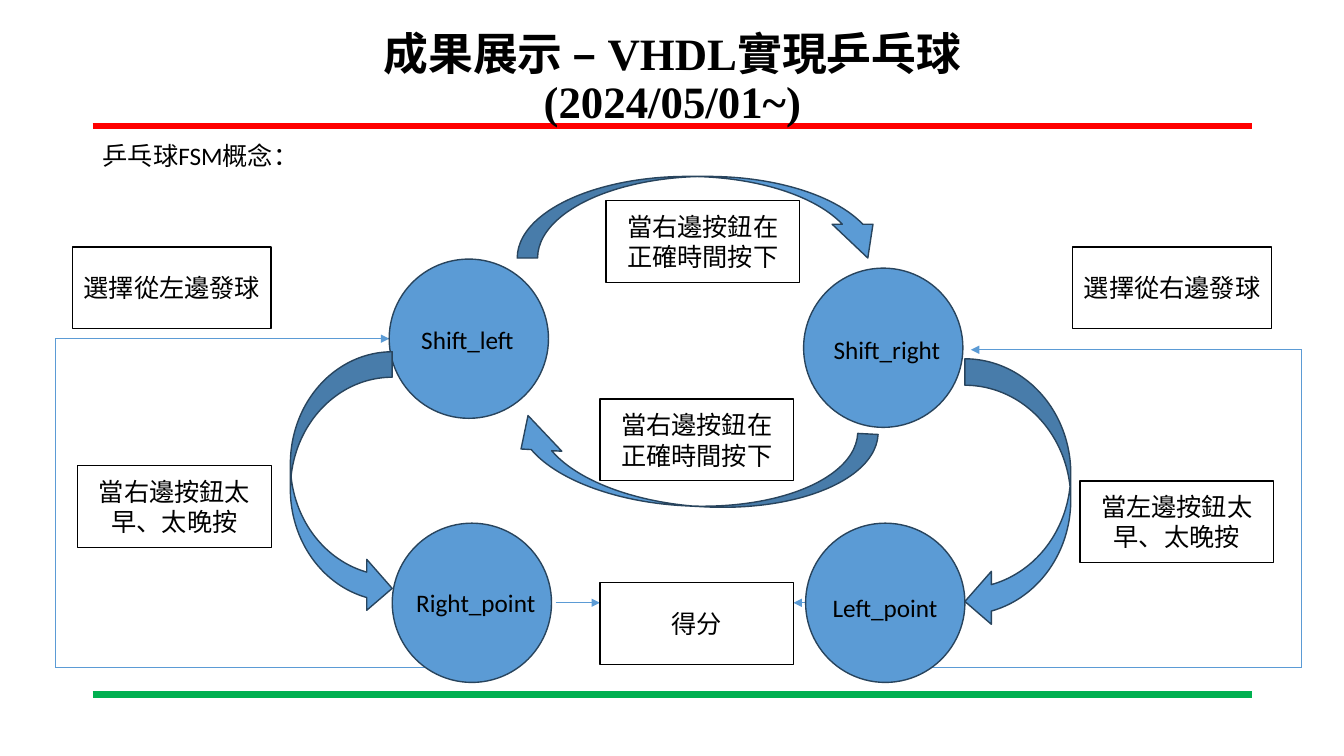
from collections import namedtuple

from lxml.etree import SubElement
from pptx import Presentation
from pptx.dml.color import RGBColor
from pptx.enum.shapes import MSO_CONNECTOR, MSO_SHAPE
from pptx.enum.text import MSO_ANCHOR, PP_ALIGN
from pptx.oxml.ns import qn
from pptx.util import Inches, Pt

COLORS = {
    "text": "000000",
    "paper": "FFFFFF",
    "state": "5B9BD5",
    "state_edge": "28445D",
    "top_rule": "FF0000",
    "bottom_rule": "00B050",
}
Box = namedtuple("Box", "left top width height")
STATE_SIZE = 1.58
NOTE_HEIGHT = 0.81


def color(name):
    """Return the named colour."""
    return RGBColor.from_string(COLORS[name])


def inset(region, left, top, width, height):
    """Return a box placed relative to the corner of a region."""
    return Box(region.left + left, region.top + top, width, height)


def add_span(para, text, size=18, font="Calibri", bold=False):
    """Add one run of text to a paragraph."""
    span = para.add_run()
    span.text = text
    span.font.size = Pt(size)
    span.font.name = font
    span.font.bold = bold
    span.font.color.rgb = color("text")


def add_text(page, box, text):
    """Add a plain left-aligned text box."""
    frame = page.shapes.add_textbox(*map(Inches, box)).text_frame
    frame.word_wrap = True
    add_span(frame.paragraphs[0], text)


def add_figure(page, kind, box, fill, edge):
    """Add a filled and outlined preset shape."""
    figure = page.shapes.add_shape(kind, *map(Inches, box))
    figure.shadow.inherit = False
    figure.fill.solid()
    figure.fill.fore_color.rgb = color(fill)
    figure.line.color.rgb = color(edge)
    figure.line.width = Pt(1)
    return figure


def add_line(page, start, end, name, width, arrow=False):
    """Add a straight line, with an arrowhead at its end if wanted."""
    line = page.shapes.add_connector(MSO_CONNECTOR.STRAIGHT, *map(Inches, (*start, *end)))
    line.line.color.rgb = color(name)
    line.line.width = Pt(width)
    if arrow:
        SubElement(line.line._get_or_add_ln(), qn("a:tailEnd"), type="triangle")
    SubElement(line._element.spPr, qn("a:effectLst"))


def add_note(page, box, text):
    """Add a white box with a centred condition."""
    note = add_figure(page, MSO_SHAPE.RECTANGLE, box, "paper", "text")
    frame = note.text_frame
    frame.word_wrap = True
    frame.vertical_anchor = MSO_ANCHOR.MIDDLE
    para = frame.paragraphs[0]
    para.alignment = PP_ALIGN.CENTER
    add_span(para, text)


def add_state(page, box, name, label_left, label_top, label_width):
    """Add a state circle and its label."""
    add_figure(page, MSO_SHAPE.OVAL, box, "state", "state_edge")
    add_text(page, inset(box, label_left, label_top, label_width, 0.4), name)


def add_turn(page, kind, box, head=None, rotation=0):
    """Add a curved transition arrow."""
    turn = add_figure(page, kind, box, "state", "state_edge")
    turn.rotation = rotation
    if head is not None:
        turn.adjustments[2] = head


def add_title(page, box):
    """Add the two-line title."""
    frame = page.shapes.add_textbox(*map(Inches, box)).text_frame
    frame.word_wrap = True
    frame.vertical_anchor = MSO_ANCHOR.MIDDLE
    para = frame.paragraphs[0]
    para.alignment = PP_ALIGN.CENTER
    para.line_spacing = 0.9
    add_span(para, "成果展示 – VHDL實現乒乓球", 32, "Times New Roman", True)
    para.add_line_break()
    add_span(para, "(2024/05/01~)", 32, "Times New Roman", True)


def add_rules(page, box):
    """Add the coloured rules along the top and bottom of a box."""
    right = box.left + box.width
    for top, name in ((box.top, "top_rule"), (box.top + box.height, "bottom_rule")):
        add_line(page, (box.left, top), (right, top), name, 4.5)


def add_wires(page, box):
    """Add the thin lines that return to the serve and lead to the score."""
    right, bottom = box.left + box.width, box.top + box.height
    left_top, right_top = box.top + 1.61, box.top + 1.72
    score_top = box.top + 4.23
    wires = (
        ((box.left + 8.54, bottom), (right, bottom), False),
        ((box.left, bottom), (box.left + 4.22, bottom), False),
        ((box.left, bottom), (box.left, left_top), False),
        ((right, bottom), (right, right_top), False),
        ((box.left, left_top), (box.left + 3.31, left_top), True),
        ((right, right_top), (box.left + 9.08, right_top), True),
        ((box.left + 4.96, score_top), (box.left + 5.4, score_top), True),
        ((box.left + 7.44, score_top), (box.left + 7.32, score_top), True),
    )
    for start, end, arrow in wires:
        add_line(page, start, end, "state", 0.5, arrow)


def add_state_machine(page, box):
    """Add the states, transitions and conditions of the game."""
    add_wires(page, box)
    states = (
        (3.31, 0.82, "Shift_left", 0.22, 0.6, 1.34),
        (7.42, 0.91, "Shift_right", 0.2, 0.61, 1.46),
        (3.34, 3.44, "Right_point", 0.14, 0.59, 1.47),
        (7.44, 3.44, "Left_point", 0.17, 0.64, 1.47),
    )
    for left, top, name, *label in states:
        add_state(page, inset(box, left, top, STATE_SIZE, STATE_SIZE), name, *label)
    turns = (
        (MSO_SHAPE.CURVED_DOWN_ARROW, (4.58, 0, 3.68, 0.81), 0.414, 0),
        (MSO_SHAPE.CURVED_DOWN_ARROW, (4.46, 2.46, 3.68, 0.81), 0.414, 183.1),
        (MSO_SHAPE.CURVED_RIGHT_ARROW, (2.33, 1.74, 1.01, 2.6), None, 0),
        (MSO_SHAPE.CURVED_LEFT_ARROW, (9.02, 1.81, 1.05, 2.67), None, 0),
    )
    for kind, place, head, rotation in turns:
        add_turn(page, kind, inset(box, *place), head, rotation)
    notes = (
        (5.46, 0.24, 1.92, "當右邊按鈕在正確時間按下"),
        (5.4, 2.21, 1.92, "當右邊按鈕在正確時間按下"),
        (0.22, 2.87, 1.92, "當右邊按鈕太早、太晚按"),
        (10.16, 3.02, 1.92, "當左邊按鈕太早、太晚按"),
        (0.17, 0.7, 1.97, "選擇從左邊發球"),
        (10.09, 0.7, 1.97, "選擇從右邊發球"),
        (5.4, 4.03, 1.92, "得分"),
    )
    for left, top, width, text in notes:
        add_note(page, inset(box, left, top, width, NOTE_HEIGHT), text)


def main():
    """Build the slide and save it."""
    deck = Presentation()
    deck.slide_width = Inches(13.33)
    deck.slide_height = Inches(7.5)
    page = deck.slides.add_slide(deck.slide_layouts[6])
    add_rules(page, Box(0.92, 1.25, 11.5, 5.64))
    add_title(page, Box(0.92, 0.4, 11.5, 0.79))
    add_text(page, Box(0.92, 1.34, 3.85, 0.4), "乒乓球FSM概念：")
    add_state_machine(page, Box(0.55, 1.75, 12.36, 4.87))
    deck.save("out.pptx")


if __name__ == "__main__":
    main()
